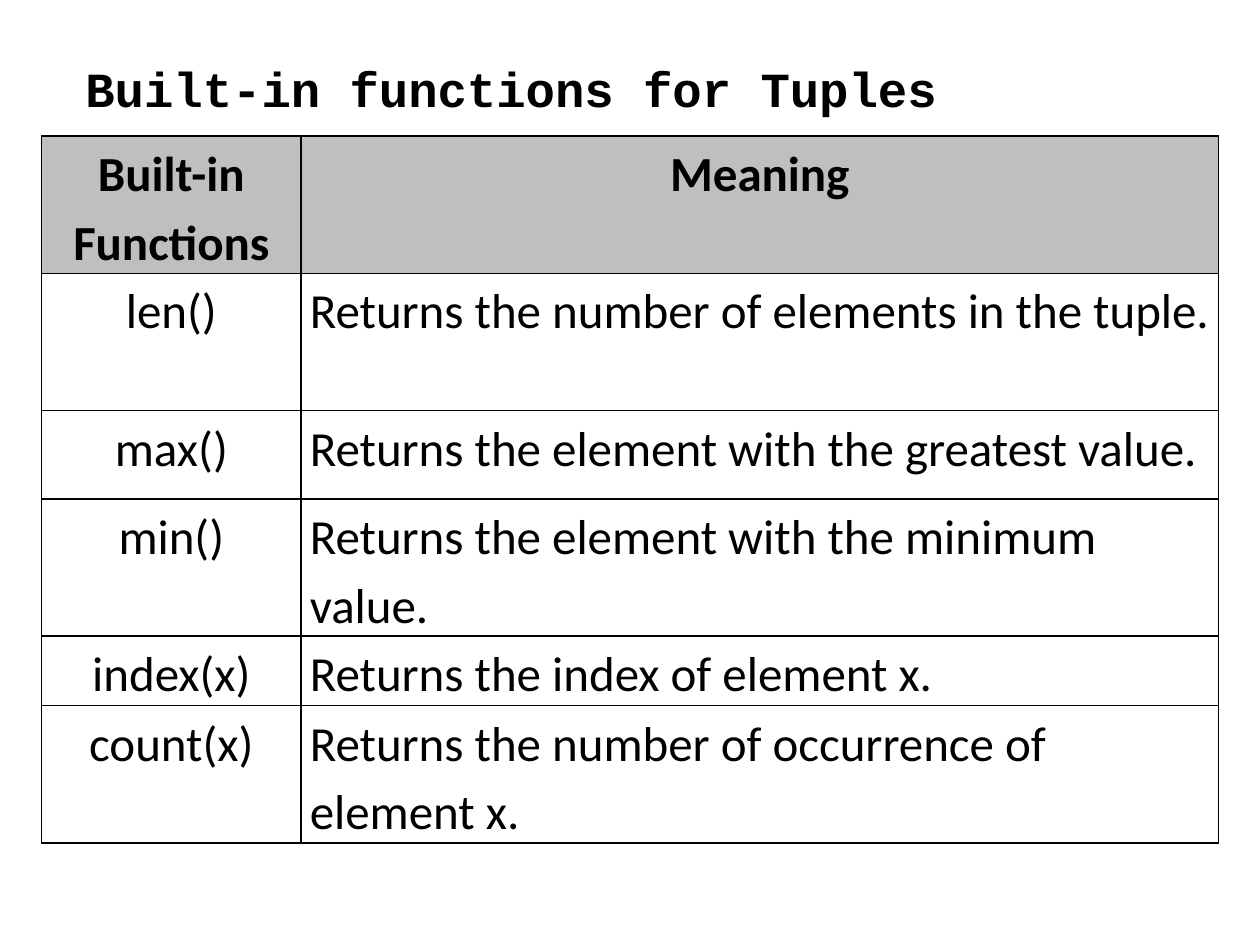
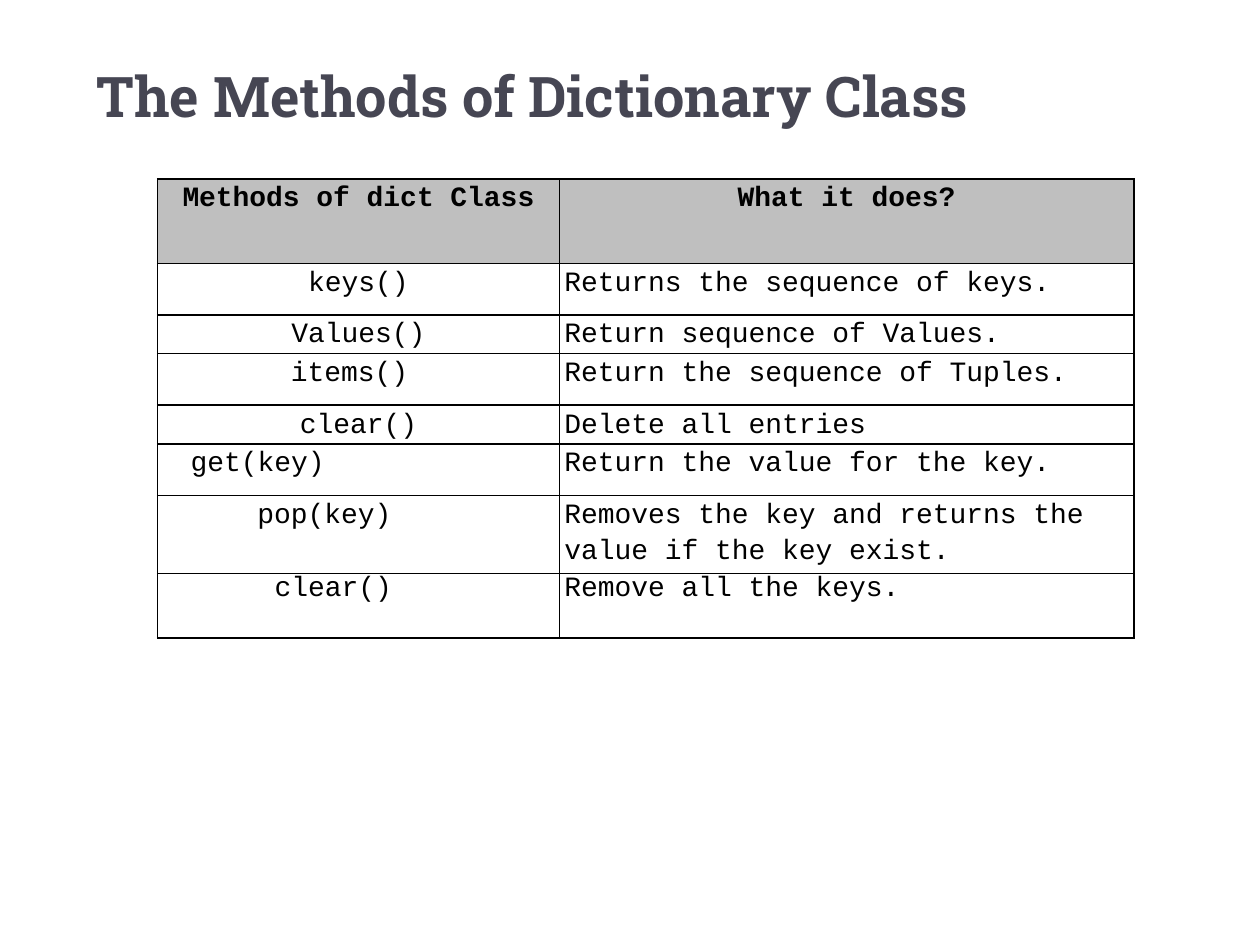
"""Build two slides that list Python's tuple functions and dictionary methods."""
from lxml import etree
from pptx import Presentation
from pptx.dml.color import RGBColor
from pptx.enum.text import MSO_ANCHOR, PP_ALIGN
from pptx.oxml.ns import qn
from pptx.util import Inches, Pt

BOTTOM = MSO_ANCHOR.BOTTOM
LEFT, CENTER = PP_ALIGN.LEFT, PP_ALIGN.CENTER
BLACK, SLATE, HEADER_GRAY = "000000", "464653", "BFBFBF"
MONOSPACE = "Courier New"


def write(frame, text, size, font, color=BLACK, bold=False, align=LEFT, spacing=1.0):
    frame.word_wrap = True
    paragraph = frame.paragraphs[0]
    paragraph.alignment = align
    paragraph.line_spacing = spacing
    run = paragraph.add_run()
    run.text = text
    run.font.size = Pt(size)
    run.font.name = font
    run.font.bold = bold
    run.font.color.rgb = RGBColor.from_string(color)


def add_borders(cell, color=BLACK, width=1):
    properties = cell._tc.get_or_add_tcPr()
    for position, side in enumerate(("lnL", "lnR", "lnT", "lnB")):
        line = etree.Element(qn(f"a:{side}"), w=str(Pt(width)))
        fill = etree.SubElement(line, qn("a:solidFill"))
        etree.SubElement(fill, qn("a:srgbClr"), val=color)
        properties.insert(position, line)


# Each row: name, meaning, height; "shift" moves a name left of its column centre.
tuple_rows = [
    ("Built-in Functions", "Meaning", 1.09),
    ("len()", "Returns the number of elements in the tuple.", 1.09),
    ("max()", "Returns the element with the greatest value.", 0.7),
    ("min()", "Returns the element with the minimum value.", 1.09),
    ("index(x)", "Returns the index of element x.", 0.55),
    ("count(x)", "Returns the number of occurrence of element x.", 1.09),
]
dictionary_rows = [
    ("Methods of dict Class", "What it does?", 0.67),
    ("keys()", "Returns the sequence of keys.", 0.41),
    ("Values()", "Return sequence of Values.", 0.29),
    ("items()", "Return the sequence of Tuples.", 0.41),
    ("clear()", "Delete all entries", 0.29),
    ("get(key)", "Return the value for the key.", 0.41),
    ("pop(key)", "Removes the key and returns the value if the key exist.", 0.62),
    ("clear()", "Remove all the keys.", 0.51),
]
slides = [
    {
        "title": "Built-in functions for Tuples",
        "title_box": (0.58, 0.17, 9, 0.81),
        "title_format": {"size": 28, "font": MONOSPACE},
        "rows": tuple_rows,
        "corner": (0.33, 1.08),
        "columns": (2.06, 7.28),
        "margin": 0.07,
        "cell_format": {"size": 28, "font": "Calibri"},
        "shifts": {},
        "single_spaced": (),
    },
    {
        "title": "The Methods of Dictionary Class",
        "title_box": (0.67, 0, 9, 1.07),
        "title_format": {"size": 32, "font": "Roboto Slab", "color": SLATE},
        "rows": dictionary_rows,
        "corner": (1.25, 1.42),
        "columns": (3.19, 4.56),
        "margin": 0.04,
        "cell_format": {"size": 16, "font": MONOSPACE},
        "shifts": {3: 0.07, 5: 0.8, 6: 0.27, 7: 0.2},
        "single_spaced": (7,),
    },
]

presentation = Presentation()
presentation.slide_width, presentation.slide_height = Inches(10), Inches(7.5)

for content in slides:
    slide = presentation.slides.add_slide(presentation.slide_layouts[6])
    title = slide.shapes.add_textbox(*map(Inches, content["title_box"]))
    title.text_frame.vertical_anchor = BOTTOM
    write(title.text_frame, content["title"], bold=True, **content["title_format"])

    rows, columns, margin = content["rows"], content["columns"], content["margin"]
    size = (sum(columns), sum(row[2] for row in rows))
    table = slide.shapes.add_table(
        len(rows), len(columns), *map(Inches, content["corner"] + size)
    ).table
    for column, width in zip(table.columns, columns):
        column.width = Inches(width)

    for row_index, (name, meaning, height) in enumerate(rows):
        table.rows[row_index].height = Inches(height)
        is_header = row_index == 0
        spacing = 1.0 if row_index in content["single_spaced"] else 1.15
        for column_index, text in enumerate((name, meaning)):
            cell = table.cell(row_index, column_index)
            is_name = column_index == 0
            shift = content["shifts"].get(row_index, 0) if is_name else 0
            cell.margin_left = Inches(margin)
            cell.margin_right = Inches(margin + 2 * shift)
            cell.margin_top = cell.margin_bottom = 0
            if is_header:
                cell.fill.solid()
                cell.fill.fore_color.rgb = RGBColor.from_string(HEADER_GRAY)
            else:
                cell.fill.background()
            add_borders(cell)
            write(
                cell.text_frame,
                text,
                bold=is_header,
                align=CENTER if is_header or is_name else LEFT,
                spacing=spacing,
                **content["cell_format"],
            )

presentation.save("out.pptx")
